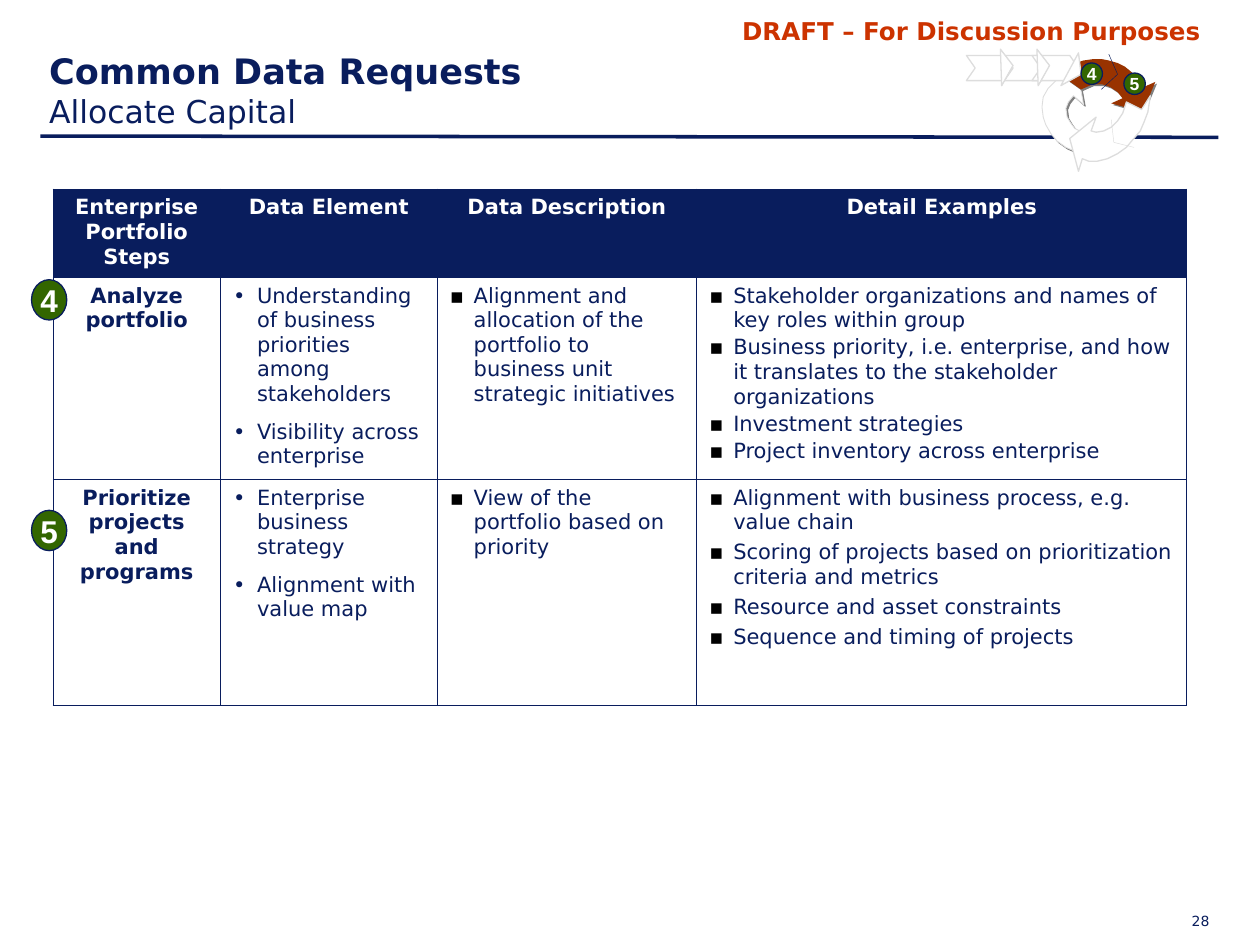
"""Build the slide on common data requests for allocating capital."""
import pptx
import pptx.dml.color
import pptx.enum.shapes
import pptx.enum.text
import pptx.oxml.ns
import pptx.util
from lxml import etree

NAVY = pptx.dml.color.RGBColor(0x09, 0x1D, 0x5D)
WHITE = pptx.dml.color.RGBColor(0xFF, 0xFF, 0xFF)
BLACK = pptx.dml.color.RGBColor(0x00, 0x00, 0x00)
RED = pptx.dml.color.RGBColor(0xCC, 0x33, 0x00)
RUST = pptx.dml.color.RGBColor(0x99, 0x33, 0x00)
GREEN = pptx.dml.color.RGBColor(0x33, 0x66, 0x00)
SILVER = pptx.dml.color.RGBColor(0xDD, 0xDD, 0xDD)
GRAY = pptx.dml.color.RGBColor(0x80, 0x80, 0x80)

COLUMNS, ROWS = 100, 75
ALIGN = pptx.enum.text.PP_ALIGN
ANCHOR = pptx.enum.text.MSO_ANCHOR

LEFT_ARC = [
    (85.3, 12), (84.6, 11.7), (83.9, 11.2), (83.4, 10.6), (83, 9.9), (82.8, 9.3),
    (82.7, 8.5), (82.8, 7.7), (83.2, 7), (83.8, 6.4), (83.1, 5.7), (85.6, 6.1),
    (86, 8.3), (85.2, 7.6), (84.8, 8.1), (84.6, 8.6), (84.7, 9.3), (85, 9.8),
    (85.3, 10.2), (85.7, 10.4)]
TOP_ARC = [
    (88, 4.8), (88.7, 5), (89.3, 5.3), (89.9, 5.8), (90.4, 6.3), (90.8, 6.9),
    (91.7, 6.5), (90.7, 8.9), (88.2, 8.2), (89.1, 7.8), (88.7, 7.3), (88.1, 6.9),
    (87.5, 6.7), (86.7, 6.7), (85.8, 7.1), (84.1, 5.9), (84.7, 5.4), (85.4, 5),
    (86, 4.8), (86.7, 4.7), (87.5, 4.7)]
RIGHT_ARC = [
    (86.4, 12.8), (87.1, 12.8), (87.9, 12.6), (88.7, 12.2), (89.4, 11.7), (89.9, 11.1),
    (90.5, 10.4), (90.8, 9.7), (91.1, 8.9), (91.3, 7.6), (90.6, 8.7), (89.4, 8.1),
    (89.1, 9), (88.7, 9.6), (88.2, 10.1), (87.6, 10.4), (87, 10.5), (86.6, 10.4),
    (87, 9.3), (84.9, 11), (85.6, 13.6), (85.9, 12.6)]
CHEVRON = [(0, 0), (3, 0), (3.7, 1), (3, 2), (0, 2), (0.7, 1)]

HEADERS = ["Enterprise Portfolio Steps", "Data Element", "Data Description", "Detail Examples"]
STEPS = [
    ("Analyze portfolio",
     ["Understanding of business priorities among stakeholders", "Visibility across enterprise"],
     ["Alignment and allocation of the portfolio to business unit strategic initiatives"],
     ["Stakeholder organizations and names of key roles within group",
      "Business priority, i.e. enterprise, and how it translates to the stakeholder organizations",
      "Investment strategies", "Project inventory across enterprise"], 1.5),
    ("Prioritize projects and programs",
     ["Enterprise business strategy", "Alignment with value map"],
     ["View of the portfolio based on priority"],
     ["Alignment with business process, e.g. value chain",
      "Scoring of projects based on prioritization criteria and metrics",
      "Resource and asset constraints", "Sequence and timing of projects"], 3),
]


def add_element(parent, tag, **attributes):
    return etree.SubElement(parent, pptx.oxml.ns.qn(tag), **attributes)


class SlideBuilder:
    """Draw styled elements on one slide, measured in grid columns and rows."""

    def __init__(self, deck):
        self.font = "DejaVu Sans"
        self.column = deck.slide_width / COLUMNS
        self.row = deck.slide_height / ROWS
        self.slide = deck.slides.add_slide(deck.slide_layouts[5])
        self.shapes = self.slide.shapes

    def place(self, x, y):
        return round(x * self.column), round(y * self.row)

    def style(self, para, size, color, bold=False, align=ALIGN.LEFT, font=None):
        para.alignment = align
        for span in para.runs:
            span.font.name = font or self.font
            span.font.size = pptx.util.Pt(size)
            span.font.bold = bold
            span.font.color.rgb = color

    def title(self, heading, subheading, left, top, width, height):
        box = self.shapes.title
        box.left, box.top = self.place(left, top)
        box.width, box.height = self.place(width, height)
        frame = box.text_frame
        frame.text = f"{heading}\v{subheading}"
        frame.auto_size = pptx.enum.text.MSO_AUTO_SIZE.NONE
        frame.vertical_anchor = ANCHOR.BOTTOM
        para = frame.paragraphs[0]
        self.style(para, 18, NAVY)
        para.runs[0].font.size = pptx.util.Pt(20)
        para.runs[0].font.bold = True

    def text(self, words, left, top, width, height, margins=(1, 0.5), **style):
        box = self.shapes.add_textbox(*self.place(left, top), *self.place(width, height))
        frame = box.text_frame
        frame.word_wrap = True
        frame.margin_left, frame.margin_top = self.place(*margins)
        frame.margin_right, frame.margin_bottom = self.place(*margins)
        frame.text = words
        self.style(frame.paragraphs[0], **style)

    def line(self, start, end, color, width):
        line = self.shapes.add_connector(
            pptx.enum.shapes.MSO_CONNECTOR.STRAIGHT, *self.place(*start), *self.place(*end))
        line.line.color.rgb = color
        line.line.width = pptx.util.Pt(width)
        add_element(line.element.spPr, "a:effectLst")

    def outline(self, points, fill=WHITE, border=SILVER, width=0.75, shadow=False):
        corners = [self.place(*point) for point in points]
        builder = self.shapes.build_freeform(*corners[0])
        builder.add_line_segments(corners[1:], close=True)
        shape = builder.convert_to_shape()
        shape.shadow.inherit = False
        shape.fill.solid()
        shape.fill.fore_color.rgb = fill
        if border is None:
            shape.line.fill.background()
        else:
            shape.line.color.rgb = border
            shape.line.width = pptx.util.Pt(width)
        if shadow:
            effects = shape.element.spPr.find(pptx.oxml.ns.qn("a:effectLst"))
            cast = add_element(effects, "a:outerShdw", dist=str(pptx.util.Pt(1.4)),
                               dir="2700000", rotWithShape="0")
            add_element(cast, "a:srgbClr", val=str(GRAY))

    def pointer(self, tip, ends, color=SILVER, filled=False):
        if filled:
            self.outline([tip, *ends])
        for end in ends:
            self.line(end, tip, color, 0.25)

    def badge(self, number, left, top, width, height, size):
        shape = self.shapes.add_shape(pptx.enum.shapes.MSO_SHAPE.OVAL,
                                      *self.place(left, top), *self.place(width, height))
        shape.shadow.inherit = False
        shape.fill.solid()
        shape.fill.fore_color.rgb = GREEN
        shape.line.color.rgb = NAVY
        shape.line.width = pptx.util.Pt(0.75)
        frame = shape.text_frame
        frame.word_wrap = False
        frame.vertical_anchor = ANCHOR.MIDDLE
        frame.text = number
        self.style(frame.paragraphs[0], size, WHITE, True, ALIGN.CENTER, "Arial")

    def table(self, left, top, widths, heights):
        frame = self.shapes.add_table(len(heights), len(widths), *self.place(left, top),
                                      *self.place(sum(widths), sum(heights)))
        table = frame.table
        table.first_row = table.horz_banding = False
        for column, width in zip(table.columns, widths):
            column.width = round(width * self.column)
        for row, height in zip(table.rows, heights):
            row.height = round(height * self.row)
        return table

    def cell(self, cell, words, color=NAVY, fill=None, bold=False, align=ALIGN.LEFT,
             bullet=None, bullet_color=NAVY, before=0, after=0):
        properties = cell._tc.get_or_add_tcPr()
        for side in ("a:lnL", "a:lnR", "a:lnT", "a:lnB"):
            border = add_element(properties, side, w=str(pptx.util.Pt(0.45)))
            add_element(add_element(border, "a:solidFill"), "a:srgbClr", val=str(NAVY))
        if fill is None:
            cell.fill.background()
        else:
            cell.fill.solid()
            cell.fill.fore_color.rgb = fill
        cell.text_frame.text = "\n".join(words)
        for index, para in enumerate(cell.text_frame.paragraphs):
            if bullet:
                indent = round(1.9 * self.column)
                marks = para._p.get_or_add_pPr()
                marks.set("marL", str(indent))
                marks.set("indent", str(-indent))
                add_element(add_element(marks, "a:buClr"), "a:srgbClr", val=str(bullet_color))
                add_element(marks, "a:buFont", typeface=self.font)
                add_element(marks, "a:buChar", char=bullet)
            para.space_before = pptx.util.Pt(before if index else 0)
            para.space_after = pptx.util.Pt(after)
            self.style(para, 12, color, bold, align)


def main():
    deck = pptx.Presentation()
    deck.slide_width, deck.slide_height = pptx.util.Inches(10), pptx.util.Inches(7.5)
    page = SlideBuilder(deck)
    page.title("Common Data Requests", "Allocate Capital", 2.9, 2.5, 94.3, 8.3)
    page.text("28", 86, 72.4, 10, 1.5, (0, 0), size=8, color=NAVY, align=ALIGN.RIGHT)
    page.line((3.2, 10.8), (96.7, 10.9), NAVY, 2)
    page.text("DRAFT – For Discussion Purposes", 56.7, 0.8, 40.8, 3.4,
              size=14, color=RED, bold=True, align=ALIGN.CENTER)

    page.outline(LEFT_ARC, width=0.5, shadow=True)
    page.outline(TOP_ARC, RUST, None, shadow=True)
    for left in (79.7, 76.7, 81.9):
        page.outline([(left + x, 4.4 + y) for x, y in CHEVRON])
    for left in (79.4, 82.3):
        page.pointer((left + 1, 5.2), [(left + 0.1, 6.8), (left, 3.9)], filled=True)
    page.pointer((88.7, 5.9), [(88, 4.3), (87.4, 7.1)], NAVY)
    page.pointer((85.8, 5.9), [(84.2, 6.8), (85.6, 4.2)], filled=True)
    page.outline(RIGHT_ARC)
    page.pointer((88.4, 11.3), [(90, 11.7), (88.2, 9.5)])

    table = page.table(4.2, 15, (13.3, 17.2, 20.6, 38.9), (7, 16, 17.9))
    for index, header in enumerate(HEADERS):
        page.cell(table.cell(0, index), [header], WHITE, NAVY, True, ALIGN.CENTER)
    for row, (step, elements, descriptions, details, gap) in enumerate(STEPS, 1):
        page.cell(table.cell(row, 0), [step], bold=True, align=ALIGN.CENTER, after=1.5)
        page.cell(table.cell(row, 1), elements, bullet="•", before=7.5)
        page.cell(table.cell(row, 2), descriptions, bullet="▪", bullet_color=BLACK, after=1.5)
        page.cell(table.cell(row, 3), details, bullet="▪", bullet_color=BLACK, after=gap)

    for number, top, small_left, small_top in (("4", 22.2, 85.8, 5), ("5", 40.5, 89.2, 5.8)):
        page.badge(number, 2.5, top, 2.8, 3.2, 18)
        page.badge(number, small_left, small_top, 1.7, 1.7, 10)
    deck.save("out.pptx")


if __name__ == "__main__":
    main()
